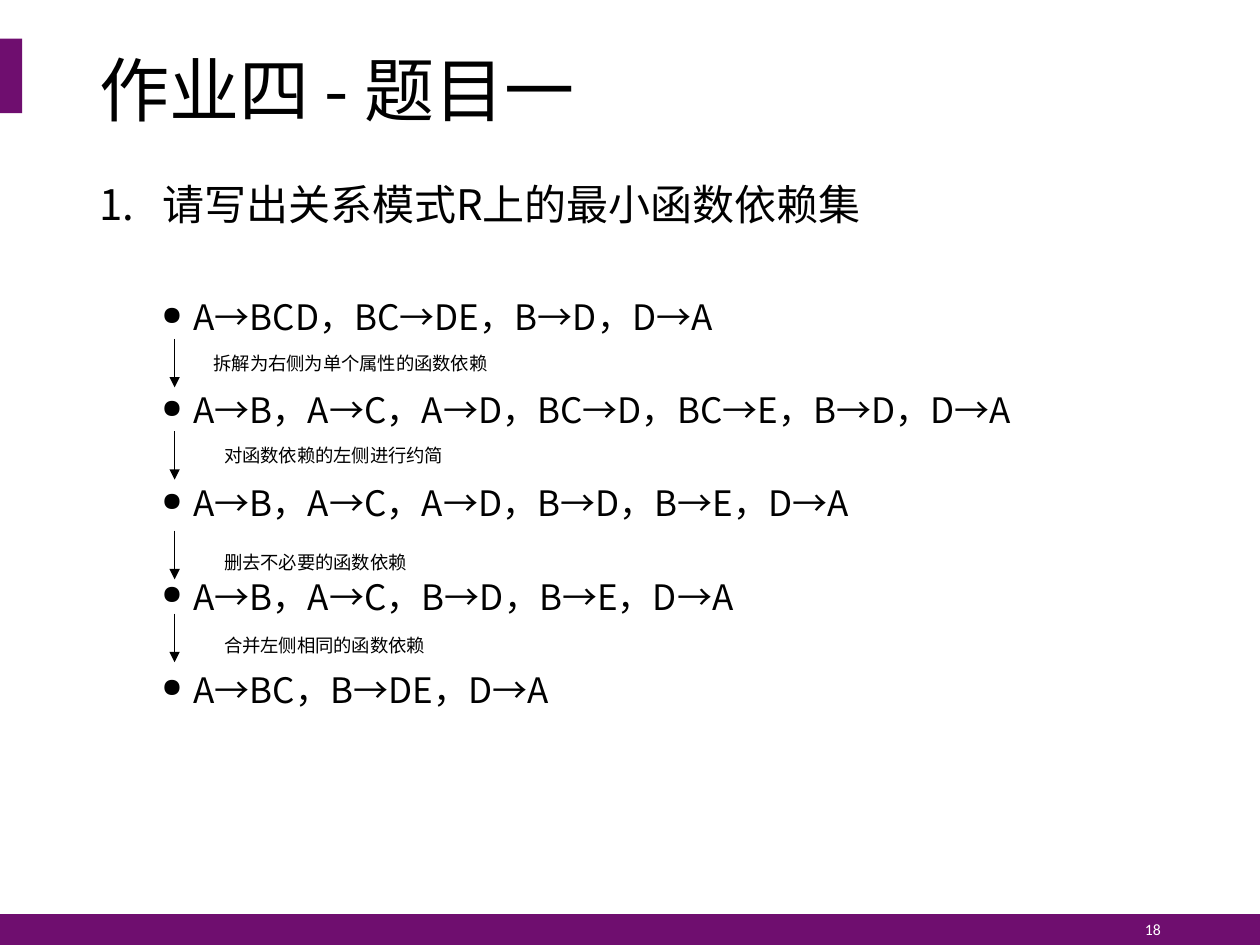
from lxml.etree import SubElement
from pptx import Presentation
from pptx.dml.color import RGBColor
from pptx.enum.shapes import MSO_CONNECTOR as Connector, MSO_SHAPE as Shape
from pptx.enum.text import MSO_ANCHOR as Anchor, PP_ALIGN as Align
from pptx.oxml.ns import qn
from pptx.util import Cm, Pt

COLORS = {"purple": "6F0E6F", "black": "000000", "white": "FFFFFF"}
HEADING_FONT, LABEL_FONT = "Noto Sans CJK SC", "Calibri"

DEPENDENCY_SETS = [
    "A→BCD，BC→DE，B→D，D→A",
    "A→B，A→C，A→D，BC→D，BC→E，B→D，D→A",
    "A→B，A→C，A→D，B→D，B→E，D→A",
    "A→B，A→C，B→D，B→E，D→A",
    "A→BC，B→DE，D→A",
]
STEPS = [
    (3.25, 0.54, 0.14, 6.07, "拆解为右侧为单个属性的函数依赖"),
    (5.11, 0.75, 0.14, 4.95, "对函数依赖的左侧进行约简"),
    (7.12, 0.75, 0.28, 4.22, "删去不必要的函数依赖"),
    (8.79, 0.75, 0.28, 4.57, "合并左侧相同的函数依赖"),
]


def color(key):
    return RGBColor.from_string(COLORS[key])


def style(paragraph, size, font=HEADING_FONT, ink="black"):
    paragraph.font.size = Pt(size)
    paragraph.font.name = font
    paragraph.font.color.rgb = color(ink)


def add_text(slide, left, top, width, height, text="", anchor=Anchor.TOP, wrap=True):
    frame = slide.shapes.add_textbox(Cm(left), Cm(top), Cm(width), Cm(height)).text_frame
    frame.word_wrap = wrap
    frame.vertical_anchor = anchor
    frame.text = text
    return frame


def add_bar(slide, left, top, width, height):
    bar = slide.shapes.add_shape(Shape.RECTANGLE, Cm(left), Cm(top), Cm(width), Cm(height))
    bar.shadow.inherit = False
    bar.fill.solid()
    bar.fill.fore_color.rgb = color("purple")
    bar.line.fill.background()


def set_bullet(paragraph, margin, hanging, percent, tag, **attributes):
    properties = paragraph._p.get_or_add_pPr()
    properties.set("marL", str(Cm(margin)))
    properties.set("indent", str(-Cm(hanging)))
    SubElement(properties, qn("a:buSzPct"), val=str(percent * 1000))
    SubElement(properties, qn(f"a:{tag}"), attributes)


def add_header(slide, left, top, width, height):
    add_bar(slide, left, top, 0.45, 1.5)
    title = add_text(slide, left + 1.75, top, width - 3.5, height,
                     "作业四 - 题目一", Anchor.MIDDLE).paragraphs[0]
    style(title, 40)
    title.line_spacing = 0.9


def add_derivation(slide, left, top, width, height):
    frame = add_text(slide, left, top, width, height, "请写出关系模式R上的最小函数依赖集")
    question = frame.paragraphs[0]
    style(question, 24)
    question.line_spacing = 0.9
    set_bullet(question, 1.27, 1.27, 100, "buAutoNum", type="arabicPeriod")
    for index, dependencies in enumerate(DEPENDENCY_SETS):
        row = frame.add_paragraph()
        row.text = dependencies
        row.level = 1
        style(row, 20)
        row.line_spacing = 0.9
        row.space_before = Pt(31.6 if index else 40.8)
        set_bullet(row, 1.9, 0.64, 75, "buChar", char="●")
    for offset, label_left, label_top, label_width, label in STEPS:
        add_step(slide, left + 1.77, top + offset, label_left, label_top, label_width, label)


def add_step(slide, left, top, label_left, label_top, label_width, label):
    arrow = slide.shapes.add_connector(Connector.STRAIGHT, Cm(left), Cm(top),
                                       Cm(left), Cm(top + 0.98))
    arrow.line.color.rgb = color("black")
    arrow.line.width = Pt(0.5)
    SubElement(arrow.line._get_or_add_ln(), qn("a:tailEnd"), type="triangle")
    SubElement(arrow._element.spPr, qn("a:effectLst"))
    caption = add_text(slide, left + label_left, top + label_top, label_width, 0.71,
                       label, wrap=False)
    style(caption.paragraphs[0], 10.5, LABEL_FONT)


def add_footer(slide, left, top, width, height):
    add_bar(slide, left, top, width, height)
    number = add_text(slide, left + width - 7.47, top, 5.72, height, "18",
                      Anchor.MIDDLE).paragraphs[0]
    number.alignment = Align.RIGHT
    style(number, 9, LABEL_FONT, "white")


deck = Presentation()
deck.slide_width, deck.slide_height = Cm(25.4), Cm(19.05)
homework = deck.slides.add_slide(deck.slide_layouts[6])
add_footer(homework, 0, 18.43, 25.4, 0.62)
add_header(homework, 0, 0.78, 25.4, 2.21)
add_derivation(homework, 1.75, 3.58, 21.9, 14)
deck.save("out.pptx")
